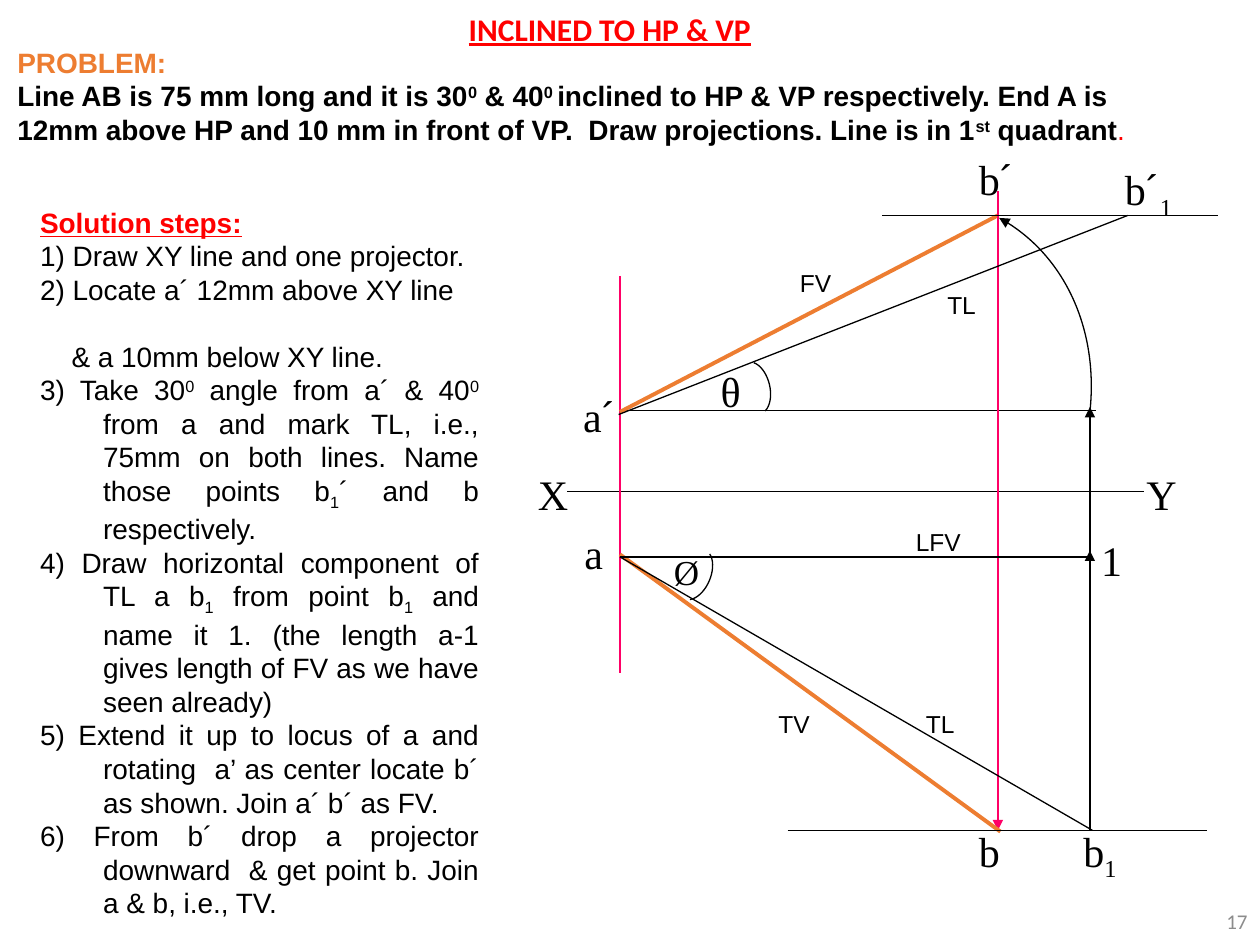
from lxml.etree import SubElement
from pptx import Presentation
from pptx.dml.color import RGBColor
from pptx.enum.shapes import MSO_CONNECTOR, MSO_SHAPE
from pptx.enum.text import MSO_ANCHOR, MSO_AUTO_SIZE, PP_ALIGN
from pptx.oxml.ns import qn
from pptx.util import Inches, Pt

COLUMNS, ROWS = 100, 75
WIDTH, HEIGHT = Inches(10), Inches(7.5)
BLACK, RED, ORANGE, PINK, GRAY = "000000", "FF0000", "ED7D31", "FF0066", "8C8C8C"
SERIF = "Times New Roman"
BASELINES = {"^": "30000", "_": "-25000"}

A_X, B_X, B1_X = 49.2, 79.2, 86.5
TOP_Y, FRONT_Y, XY_Y, PLAN_Y, BOTTOM_Y = 17.1, 32.7, 39, 44.2, 65.9

LINES = [
    ((45, XY_Y), (90.8, XY_Y), BLACK, 0.75, False),
    ((A_X, 21.9), (A_X, 53.4), PINK, 0.75, False),
    ((49.4, 32.6), (87, 32.6), BLACK, 0.75, False),
    ((A_X, FRONT_Y), (B_X, TOP_Y), ORANGE, 2.25, False),
    ((B_X, 15.2), (B_X, BOTTOM_Y), PINK, 0.75, True),
    ((A_X, 44), (79.4, 66), ORANGE, 2.25, False),
    ((62.5, BOTTOM_Y), (95.8, BOTTOM_Y), BLACK, 0.75, False),
    ((B1_X, BOTTOM_Y), (B1_X, 43.7), BLACK, 0.75, True),
    ((A_X, PLAN_Y), (86.7, PLAN_Y), BLACK, 0.75, False),
    ((A_X, PLAN_Y), (86.7, BOTTOM_Y), BLACK, 0.75, False),
    ((49.1, 32.9), (89.5, TOP_Y), BLACK, 0.75, False),
    ((70, TOP_Y), (96.7, TOP_Y), BLACK, 0.75, False),
    ((B1_X, 44.6), (B1_X, 32.3), BLACK, 0.75, True),
]

LABELS = [
    ("a|´", 45.3, 30.5, 4.6, 24, SERIF),
    ("b|´", 76.7, 11.7, 4.8, 24, SERIF),
    ("a", 45.4, 41.4, 3.5, 24, SERIF),
    ("b", 76.7, 65, 3.7, 24, SERIF),
    ("X", 41.7, 36.7, 5.8, 24, SERIF),
    ("Y", 90, 36.7, 4.4, 24, SERIF),
    ("b|´|_1", 88.3, 12.5, 6.1, 24, SERIF),
    ("b|_1", 85, 65, 4.8, 24, SERIF),
    ("1", 86.4, 41.9, 3.7, 24, SERIF),
    ("Ø", 52.5, 43.2, 3.9, 20, SERIF),
    ("θ", 56.2, 28.5, 3.8, 24, SERIF),
    ("LFV", 71.7, 41.3, 5.6, 14, "Arial"),
    ("TL", 74.2, 22.5, 4.3, 14, "Arial"),
    ("TL", 72.5, 55.8, 4.3, 14, "Arial"),
    ("FV", 62.5, 20.8, 4.5, 14, "Arial"),
    ("TV", 60.8, 55.8, 4.5, 14, "Arial"),
]

PROBLEM = (
    "Line AB is 75 mm long and it is 30|^0| & 40|^0 |inclined to HP & VP respectively. "
    "End A is 12mm above HP and 10 mm in front of VP.  Draw projections. "
    "Line is in 1|^st| quadrant|."
)

STEPS = [
    "1) Draw XY line and one projector.",
    "2) Locate a´ 12mm above XY line",
    "& a 10mm below XY line.",
    "3) Take 30|^0| angle from a´ & 40|^0 |from a and mark TL, i.e., 75mm on both lines. "
    "Name those points b|_1|´ and b respectively.",
    "4) Draw horizontal component of TL a b|_1| from point b|_1| and name it 1. "
    "(the length a-1 gives length of FV as we have seen already)",
    "5) Extend it up to locus of a and rotating  a’ as center locate b´ as shown. "
    "Join a´ b´ as FV.",
    "6) From b´ drop a projector downward  & get point b. Join a & b, i.e., TV.",
]


def color(value):
    return RGBColor.from_string(value)


def across(column):
    return round(WIDTH * column / COLUMNS)


def down(row):
    return round(HEIGHT * row / ROWS)


def place(shape, left, top, width, height):
    shape.left, shape.top = across(left), down(top)
    shape.width, shape.height = across(width), down(height)


def style_line(shape, ink, weight, arrow=False):
    shape.line.color.rgb = color(ink)
    shape.line.width = Pt(weight)
    if arrow:
        SubElement(shape.line._get_or_add_ln(), qn("a:tailEnd"), type="triangle")


def add_line(page, start, end, ink, weight, arrow):
    line = page.shapes.add_connector(
        MSO_CONNECTOR.STRAIGHT,
        across(start[0]), down(start[1]), across(end[0]), down(end[1]),
    )
    style_line(line, ink, weight, arrow)
    SubElement(line._element.spPr, qn("a:effectLst"))


def add_angle_arc(page, left, top, rotation):
    arc = page.shapes.add_shape(
        MSO_SHAPE.ARC, across(left), down(top), across(2.5), down(4.2)
    )
    arc.rotation = rotation
    arc.adjustments[0], arc.adjustments[1] = 283 * 0.6, 78 * 0.6
    arc.shadow.inherit = False
    arc.fill.background()
    style_line(arc, BLACK, 0.75)


def add_swing(page, start, controls, end):
    builder = page.shapes.build_freeform(across(start[0]), down(start[1]))
    points = [(across(x), down(y)) for x, y in (*controls, end)]
    builder.add_line_segments(points, close=False)
    swing = builder.convert_to_shape()
    outline = next(swing._element.iter(qn("a:path")))
    segments = outline.findall(qn("a:lnTo"))
    curve = SubElement(outline, qn("a:cubicBezTo"))
    for segment in segments:
        curve.append(segment[0])
        outline.remove(segment)
    swing.shadow.inherit = False
    swing.fill.background()
    style_line(swing, BLACK, 0.75, arrow=True)


def add_box(page, left, top, width, height, wrap=True):
    box = page.shapes.add_textbox(across(left), down(top), across(width), down(height))
    box.text_frame.word_wrap = wrap
    return box.text_frame


def write(para, text, size, font, ink, bold=False, underline=False):
    para.font.size, para.font.name = Pt(size), font
    para.font.bold, para.font.underline = bold, underline
    para.font.color.rgb = color(ink)
    for part in text.split("|"):
        span = para.add_run()
        span.text = part.lstrip("^_")
        if part[0] in BASELINES:
            span.font._element.set("baseline", BASELINES[part[0]])
        elif part == "´":
            span.font.name = "Arial"


def add_title(page):
    title = page.shapes.title
    place(title, 36.2, 0.3, 26.4, 4)
    frame = title.text_frame
    frame.word_wrap = True
    frame.auto_size = MSO_AUTO_SIZE.NONE
    frame.vertical_anchor = MSO_ANCHOR.TOP
    para = frame.paragraphs[0]
    para.alignment = PP_ALIGN.LEFT
    write(para, "INCLINED TO HP & VP", 18, "Calibri", RED, True, True)


def add_problem(page):
    frame = add_box(page, 0.4, 3.1, 95.4, 9.1)
    write(frame.paragraphs[0], "PROBLEM:", 16, "Arial", ORANGE, True)
    para = frame.add_paragraph()
    write(para, PROBLEM, 16, "Arial", BLACK, True)
    stop = para.runs[-1]
    stop.font.bold = False
    stop.font.color.rgb = color(RED)


def indent(para, first):
    properties = para._p.get_or_add_pPr()
    properties.set("marL", str(across(5)))
    properties.set("indent", str(across(first)))


def add_steps(page):
    frame = add_box(page, 2.2, 15.8, 36.8, 54.9)
    heading = frame.paragraphs[0]
    write(heading, "Solution steps:", 16, "Arial", RED, True, True)
    indent(heading, -5)
    for step in STEPS:
        para = frame.add_paragraph()
        para.alignment = PP_ALIGN.JUSTIFY
        write(para, step, 16, "Arial", BLACK)
        indent(para, -2.5 if step.startswith("&") else -5)
        if step.startswith("2)"):
            para.space_after = Pt(19)


def add_page_number(page):
    frame = add_box(page, 77.5, 71.1, 22.5, 4)
    frame.vertical_anchor = MSO_ANCHOR.MIDDLE
    para = frame.paragraphs[0]
    para.alignment = PP_ALIGN.RIGHT
    write(para, "17", 12, "Calibri", GRAY)


def main():
    deck = Presentation()
    deck.slide_width, deck.slide_height = WIDTH, HEIGHT
    page = deck.slides.add_slide(deck.slide_layouts[5])
    add_title(page)
    add_angle_arc(page, 58.6, 28.7, -13.6)
    add_angle_arc(page, 53.9, 43.5, 23)
    for line in LINES:
        add_line(page, *line)
    add_swing(page, (B1_X, 32.7), ((87.2, 26.2), (84.3, 20)), (79.3, 17.3))
    for text, left, top, width, size, font in LABELS:
        frame = add_box(page, left, top, width, size / 6 + 1, wrap=False)
        write(frame.paragraphs[0], text, size, font, BLACK)
    add_problem(page)
    add_steps(page)
    add_page_number(page)
    deck.save("out.pptx")


if __name__ == "__main__":
    main()
